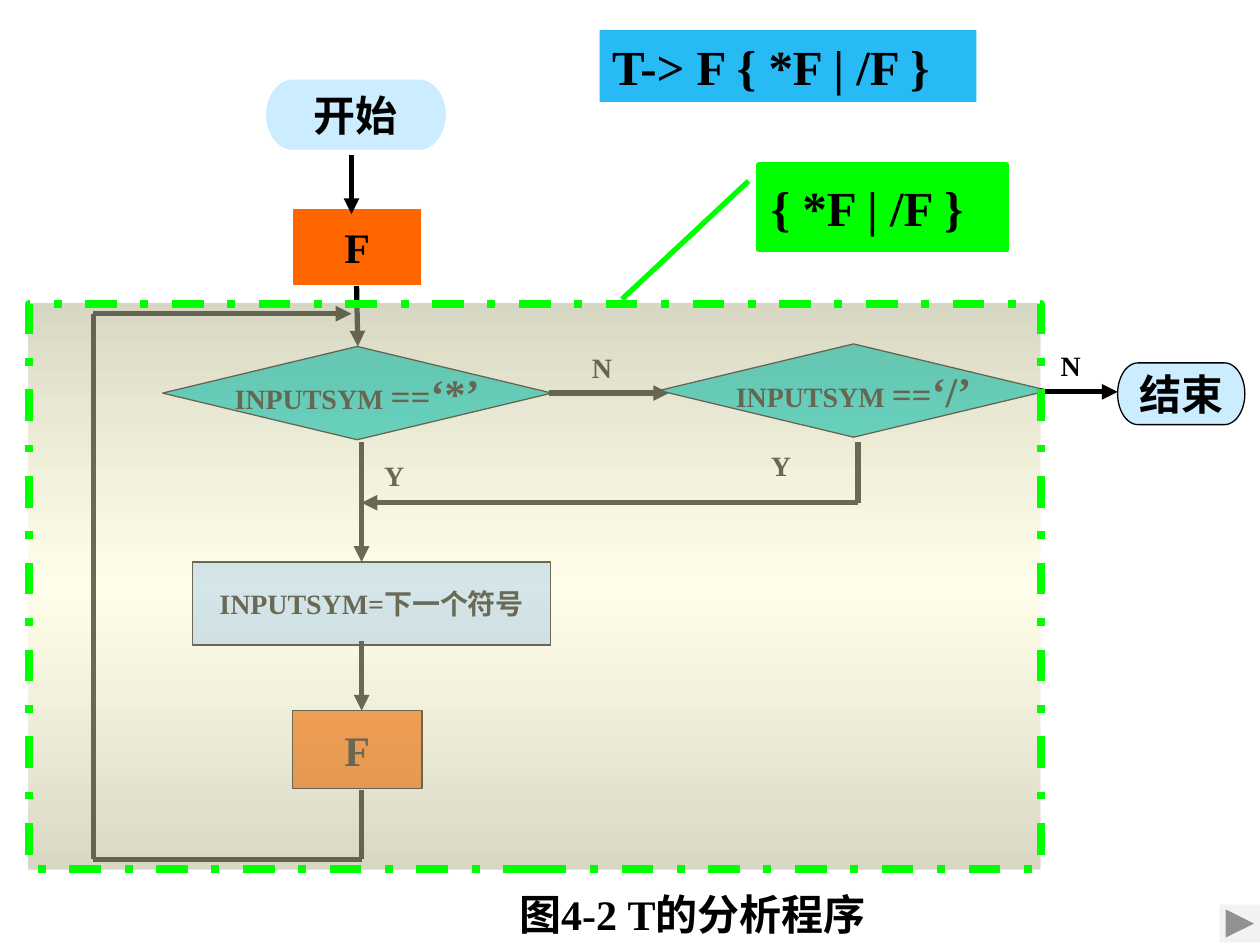
import dataclasses

import lxml.etree
import pptx
import pptx.dml.color
import pptx.enum.dml
import pptx.enum.shapes
import pptx.enum.text
import pptx.oxml.ns
import pptx.util

SHAPE = pptx.enum.shapes.MSO_SHAPE
ALIGN = pptx.enum.text.PP_ALIGN
ANCHOR = pptx.enum.text.MSO_ANCHOR
qn = pptx.oxml.ns.qn

COLUMNS, ROWS = 100, 75
WIDTH, HEIGHT = pptx.util.Inches(10), pptx.util.Inches(7.5)


@dataclasses.dataclass(frozen=True)
class Theme:
    latin: str = "Times New Roman"
    east_asian: str = "Noto Sans CJK SC"
    ink: str = "000000"
    paper: str = "FFFFFF"
    test: str = "00CCCC"
    terminal: str = "CCECFF"
    call: str = "FF6600"
    read: str = "B7D4FF"
    grammar: str = "27BAF5"
    loop: str = "00FF00"
    veil: str = "FFFFCC"
    button: str = "F2F2F2"
    branch_size: int = 16
    equals_size: int = 20
    step_size: int = 24
    rule_size: int = 28
    thin: float = 0.75
    thick: float = 3
    frame: float = 4.5


THEME = Theme()


def across(columns):
    return round(WIDTH * columns / COLUMNS)


def down(rows):
    return round(HEIGHT * rows / ROWS)


def cells(left, top, width, height):
    return across(left), down(top), across(width), down(height)


def rgb(code):
    return pptx.dml.color.RGBColor.from_string(code)


def add_xml(parent, tag, **attributes):
    return lxml.etree.SubElement(parent, qn(tag), attributes)


def write(frame, parts, align=ALIGN.CENTER):
    """Fill a text frame with one paragraph made of (text, size) parts."""
    paragraph = frame.paragraphs[0]
    paragraph.alignment = align
    font = paragraph.font
    font.name, font.bold = THEME.latin, True
    font.color.rgb = rgb(THEME.ink)
    same_size = len({size for _, size in parts}) == 1
    if same_size:
        font.size = pptx.util.Pt(parts[0][1])
    add_xml(paragraph._p.pPr.find(qn("a:defRPr")), "a:ea", typeface=THEME.east_asian)
    for text, size in parts:
        run = paragraph.add_run()
        run.text = text
        if not same_size:
            run.font.size = pptx.util.Pt(size)
    return paragraph


def add_block(slide, kind, place, fill=None, line=None, weight=THEME.thin):
    block = slide.shapes.add_shape(kind, *cells(*place))
    block.shadow.inherit = False
    if fill:
        block.fill.solid()
        block.fill.fore_color.rgb = rgb(fill)
    if line:
        block.line.color.rgb = rgb(line)
        block.line.width = pptx.util.Pt(weight)
    else:
        block.line.fill.background()
    return block


def add_step(slide, kind, place, fill, parts, line=THEME.ink, weight=THEME.thin):
    step = add_block(slide, kind, place, fill, line, weight)
    frame = step.text_frame
    frame.word_wrap = False
    frame.vertical_anchor = ANCHOR.MIDDLE
    frame.margin_left = frame.margin_right = frame.margin_top = frame.margin_bottom = 0
    write(frame, parts)


def add_test(slide, left, top, symbol):
    parts = [("INPUTSYM ", THEME.branch_size), ("==", THEME.equals_size),
             (symbol, THEME.step_size)]
    add_step(slide, SHAPE.FLOWCHART_DECISION, (left, top, 30.9, 7.4), THEME.test, parts)


def add_call(slide, top, line):
    add_step(slide, SHAPE.RECTANGLE, (23.2, top, 10.3, 6.2), THEME.call,
             [("F", THEME.step_size)], line)


def add_rule(slide, kind, place, fill, text, line=None):
    """Grammar rule in a filled box, set from the top left."""
    rule = add_block(slide, kind, place, fill, line, THEME.thick)
    rule.text_frame.word_wrap = True
    rule.text_frame.vertical_anchor = ANCHOR.TOP
    return rule, write(rule.text_frame, [(text, THEME.rule_size)], ALIGN.LEFT)


def add_label(slide, place, text, size=THEME.branch_size, align=ALIGN.LEFT):
    label = slide.shapes.add_textbox(*cells(*place))
    label.text_frame.word_wrap = True
    label.text_frame.auto_size = pptx.enum.text.MSO_AUTO_SIZE.SHAPE_TO_FIT_TEXT
    write(label.text_frame, [(text, size)], align)


def add_flow(slide, start, end, arrow=True):
    flow = slide.shapes.add_connector(
        pptx.enum.shapes.MSO_CONNECTOR.STRAIGHT,
        across(start[0]), down(start[1]), across(end[0]), down(end[1]))
    flow.line.color.rgb = rgb(THEME.ink)
    flow.line.width = pptx.util.Pt(THEME.thick)
    if arrow:
        add_xml(flow.line._get_or_add_ln(), "a:tailEnd", type="triangle")
    add_xml(flow._element.spPr, "a:effectLst")


def add_loop_veil(slide, place):
    """Translucent panel, darker at top and bottom, marking the repeated part."""
    veil = add_block(slide, SHAPE.RECTANGLE, place, line=THEME.loop, weight=THEME.frame)
    veil.line.dash_style = pptx.enum.dml.MSO_LINE.DASH_DOT
    veil.fill.gradient()
    veil.fill.gradient_angle = 270
    stops = veil._element.spPr.find(qn("a:gradFill")).find(qn("a:gsLst"))
    for stop in list(stops):
        stops.remove(stop)
    for position, shade, alpha in ((0, 46, 54), (50, None, 41), (100, 46, 54)):
        stop = add_xml(stops, "a:gs", pos=str(position * 1000))
        color = add_xml(stop, "a:srgbClr", val=THEME.veil)
        if shade:
            add_xml(color, "a:shade", val=str(shade * 1000))
        add_xml(color, "a:alpha", val=str(alpha * 1000))


def add_steps(slide):
    add_test(slide, 12.9, 27.5, "‘*’")
    add_test(slide, 52.3, 27.3, "‘/’")
    add_step(slide, SHAPE.FLOWCHART_TERMINATOR, (20.8, 6, 14.9, 6.2), THEME.terminal,
             [("开始", THEME.step_size)], THEME.paper, THEME.frame)
    add_step(slide, SHAPE.FLOWCHART_TERMINATOR, (88.7, 28.8, 10.1, 4.9), THEME.terminal,
             [("结束", THEME.step_size)])
    add_step(slide, SHAPE.RECTANGLE, (15.3, 44.6, 28.4, 6.6), THEME.read,
             [("INPUTSYM=下一个符号", THEME.branch_size)])
    add_call(slide, 16.5, THEME.paper)
    add_call(slide, 56.4, THEME.ink)


def add_flows(slide):
    axis, back, slash, join, entry, bottom = 28.7, 7.4, 68.1, 39.9, 24.9, 68.2
    arrows = [
        ((27.9, 12.3), (27.9, 17)),
        ((28.3, 22.7), (28.4, 27.5)),
        ((axis, 35.1), (axis, 44.6)),
        ((axis, 50.9), (axis, 56.4)),
        ((43.6, 31.2), (53.1, 31.2)),
        ((82.4, 31.1), (88.7, 31.1)),
        ((slash, join), (axis, join)),
        ((back, entry), (27.9, entry)),
    ]
    plain = [
        ((slash, 35.1), (slash, join)),
        ((axis, 62.7), (axis, bottom)),
        ((axis, bottom), (back, bottom)),
        ((back, bottom), (back, entry)),
    ]
    for start, end in arrows:
        add_flow(slide, start, end)
    for start, end in plain:
        add_flow(slide, start, end, arrow=False)


def add_labels(slide):
    for left, top, answer in ((29.5, 35.9, "Y"), (60.2, 35.1, "Y"),
                              (46, 27.3, "N"), (83.2, 27.2, "N")):
        add_label(slide, (left, top, 4.6, 3.7), answer)
    add_label(slide, (33.7, 70, 42.5, 5), "图4-2 T的分析程序", THEME.step_size, ALIGN.CENTER)


def add_rules(slide):
    add_rule(slide, SHAPE.RECTANGLE, (47.6, 2.4, 29.9, 5.7), THEME.grammar,
             "T-> F { *F | /F }")
    callout, repetition = add_rule(slide, SHAPE.LINE_CALLOUT_1, (60.2, 13.1, 19.7, 6.7),
                                   THEME.loop, "{ *F | /F }", THEME.loop)
    repetition.line_spacing = 1.1
    for index, share in enumerate((0.19, -0.04, 1.59, -0.55)):
        callout.adjustments[index] = share


def main():
    deck = pptx.Presentation()
    deck.slide_width, deck.slide_height = WIDTH, HEIGHT
    slide = deck.slides.add_slide(deck.slide_layouts[6])
    add_steps(slide)
    add_flows(slide)
    add_labels(slide)
    add_rules(slide)
    add_loop_veil(slide, (2.3, 24.1, 80.3, 44.9))
    add_block(slide, SHAPE.ACTION_BUTTON_FORWARD_OR_NEXT, (96.8, 71.8, 3.2, 3), THEME.button)
    deck.save("out.pptx")


if __name__ == "__main__":
    main()
